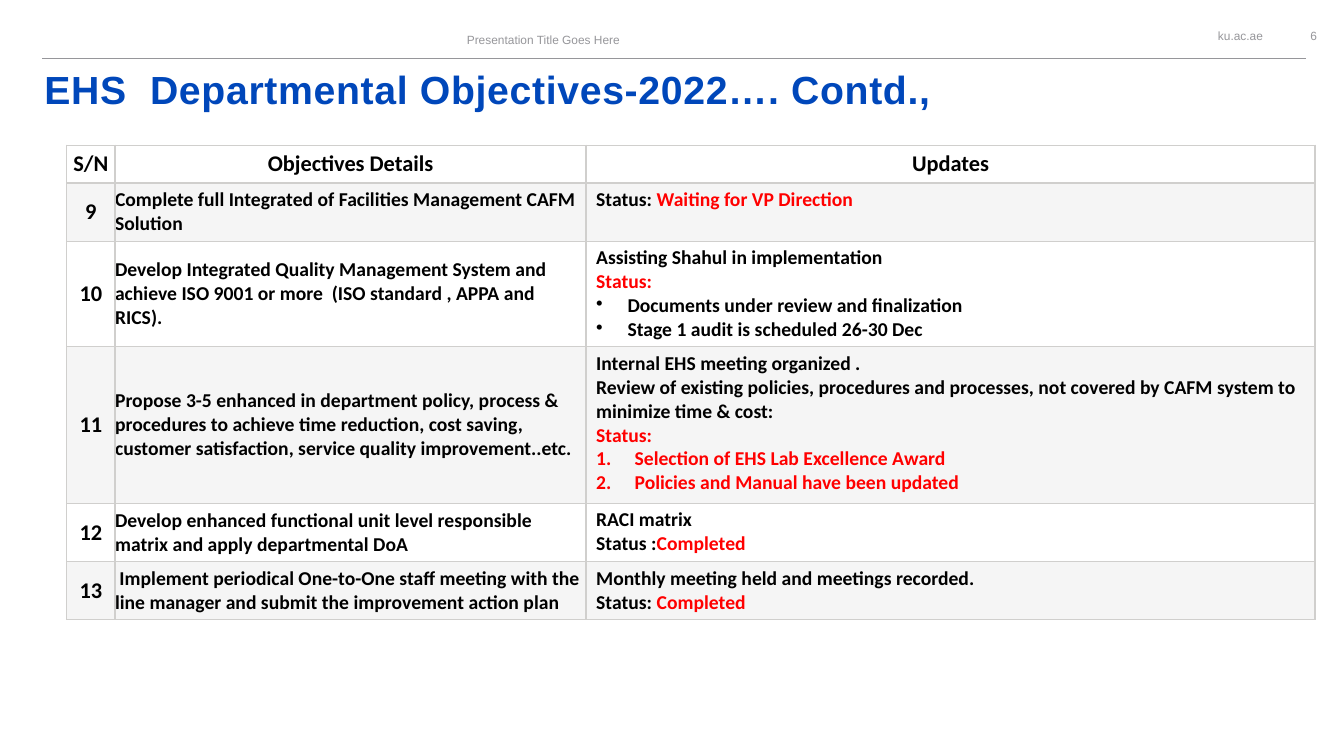
from lxml.etree import SubElement
from pptx import Presentation
from pptx.dml.color import RGBColor
from pptx.enum.shapes import MSO_CONNECTOR as CONN
from pptx.enum.text import MSO_ANCHOR as ANCHOR, MSO_AUTO_SIZE as FIT, PP_ALIGN as ALIGN
from pptx.oxml.ns import qn
from pptx.util import Cm, Pt

BLUE, GREY, BLACK, RED, RULE = "0047BA", "96969A", "000000", "FF0000", "D0CFCD"
SMALL = dict(name="Arial", size=Pt(8.5), bold=False)
HEADING = dict(name="Arial", size=Pt(28), bold=True)
LARGE = dict(name="Calibri", size=Pt(16), bold=True)
BODY = dict(name="Calibri", size=Pt(14), bold=True)

BULLETS = {
    "•": (0.79, "a:buChar", {"char": "•"}),
    "1.": (0.97, "a:buAutoNum", {"type": "arabicPeriod"}),
}
COLUMNS = (1.22, 11.87, 18.37)
ROWS = (0.95, 1.47, 2.66, 3.94, 1.47, 1.47)
HEADERS = ("S/N", "Objectives Details", "Updates")
OBJECTIVES = [
    ("9", "Complete full Integrated of Facilities Management CAFM Solution",
     [("", [("Status: ", BLACK), ("Waiting for VP Direction", RED)])]),
    ("10", "Develop Integrated Quality Management System and achieve ISO 9001 or more  "
     "(ISO standard , APPA and RICS).",
     [("", [("Assisting Shahul in implementation", BLACK)]),
      ("", [("Status:", RED)]),
      ("•", [("Documents under review and finalization", BLACK)]),
      ("•", [("Stage 1 audit is scheduled 26-30 Dec", BLACK)])]),
    ("11", "Propose 3-5 enhanced in department policy, process & procedures to achieve "
     "time reduction, cost saving, customer satisfaction, service quality improvement..etc.",
     [("", [("Internal EHS meeting organized .", BLACK)]),
      ("", [("Review of existing policies, procedures and processes, not covered by "
             "CAFM system to minimize time & cost:", BLACK)]),
      ("", [("Status:", RED)]),
      ("1.", [("Selection of EHS Lab Excellence Award", RED)]),
      ("1.", [("Policies and Manual have been updated", RED)])]),
    ("12", "Develop enhanced functional unit level responsible matrix and apply departmental DoA",
     [("", [("RACI matrix", BLACK)]),
      ("", [("Status :", BLACK), ("Completed", RED)])]),
    ("13", " Implement periodical One-to-One staff meeting with the line manager and "
     "submit the improvement action plan",
     [("", [("Monthly meeting held and meetings recorded.", BLACK)]),
      ("", [("Status: ", BLACK), ("Completed", RED)])]),
]


def rgb(color):
    return RGBColor.from_string(color)


def set_attrs(obj, values):
    for key, value in values.items():
        setattr(obj, key, value)


def add_run(p, text, color, fmt):
    r = p.add_run()
    r.text = text
    set_attrs(r.font, fmt)
    r.font.color.rgb = rgb(color)
    return r


def add_bullet(p, mark):
    indent, tag, attrs = BULLETS[mark]
    pPr = p._p.get_or_add_pPr()
    pPr.set("marL", str(Cm(indent)))
    pPr.set("indent", str(-Cm(indent)))
    SubElement(pPr, qn(tag), attrs)


def set_frame(tf, anchor):
    set_attrs(tf, dict(word_wrap=True, auto_size=FIT.NONE, vertical_anchor=anchor,
                       margin_left=0, margin_right=0, margin_top=0, margin_bottom=0))


def add_label(s, text, left, top, width, align):
    sp = s.shapes.add_textbox(Cm(left), Cm(top), Cm(width), Cm(0.69))
    set_frame(sp.text_frame, ANCHOR.MIDDLE)
    p = sp.text_frame.paragraphs[0]
    p.alignment = align
    add_run(p, text, GREY, SMALL)


def add_title(s, text):
    sp = s.shapes.title
    set_attrs(sp, dict(left=Cm(1.12), top=Cm(1.07), width=Cm(26.64), height=Cm(1.75)))
    set_frame(sp.text_frame, ANCHOR.BOTTOM)
    p = sp.text_frame.paragraphs[0]
    p.alignment = ALIGN.LEFT
    r = add_run(p, text, BLUE, HEADING)
    r._r.get_or_add_rPr().set("spc", "50")


def add_rule(s):
    line = s.shapes.add_connector(CONN.STRAIGHT, Cm(1.07), Cm(1.47), Cm(32.92), Cm(1.47))
    line.line.color.rgb = rgb(GREY)
    line.line.width = Pt(0.75)
    SubElement(line._element.spPr, qn("a:effectLst"))


def style_cell(cell, row):
    tcPr = cell._tc.get_or_add_tcPr()
    widths = dict(L=1, R=1, T=2 if row == 1 else 1, B=2 if row == 0 else 1)
    for side, width in widths.items():
        ln = SubElement(tcPr, qn(f"a:ln{side}"), w=str(Pt(width)))
        SubElement(SubElement(ln, qn("a:solidFill")), qn("a:srgbClr"), val=RULE)
    if row % 2:
        cell.fill.solid()
        cell.fill.fore_color.rgb = rgb(RULE)
        SubElement(next(tcPr.find(qn("a:solidFill")).iterchildren()), qn("a:alpha"), val="20000")
    else:
        cell.fill.background()


def fill_cell(cell, paragraphs, fmt, align, compact):
    if compact:
        set_attrs(cell, dict(margin_left=0, margin_right=0, margin_top=0, margin_bottom=0,
                             vertical_anchor=ANCHOR.MIDDLE))
    tf = cell.text_frame
    for i, (mark, runs) in enumerate(paragraphs):
        p = tf.add_paragraph() if i else tf.paragraphs[0]
        p.alignment = align
        if mark:
            add_bullet(p, mark)
        for text, color in runs:
            add_run(p, text, color, fmt)


def plain(text):
    return [("", [(text, BLACK)])]


def add_objectives(s):
    frame = s.shapes.add_table(len(ROWS), len(COLUMNS), Cm(1.68), Cm(3.66),
                               Cm(sum(COLUMNS)), Cm(sum(ROWS)))
    table = frame.table
    set_attrs(table, dict(first_row=False, horz_banding=False))
    for column, width in zip(table.columns, COLUMNS):
        column.width = Cm(width)
    for row, height in zip(table.rows, ROWS):
        row.height = Cm(height)
    content = [[plain(text) for text in HEADERS]]
    content += [[plain(number), plain(detail), updates] for number, detail, updates in OBJECTIVES]
    for i, row in enumerate(content):
        for j, paragraphs in enumerate(row):
            cell = table.cell(i, j)
            style_cell(cell, i)
            large = i == 0 or j == 0
            fill_cell(cell, paragraphs, LARGE if large else BODY,
                      ALIGN.CENTER if large else ALIGN.LEFT, compact=j < 2)


def main():
    prs = Presentation()
    prs.slide_width, prs.slide_height = Cm(33.87), Cm(19.05)
    s = prs.slides.add_slide(prs.slide_layouts[5])
    add_label(s, "ku.ac.ae", 28.93, 0.56, 2.9, ALIGN.RIGHT)
    add_rule(s)
    add_title(s, "EHS  Departmental Objectives-2022…. Contd.,")
    add_label(s, "Presentation Title Goes Here", 7.98, 0.66, 11.43, ALIGN.CENTER)
    add_label(s, "6", 32.38, 0.56, 1.45, ALIGN.CENTER)
    add_objectives(s)
    prs.save("out.pptx")


if __name__ == "__main__":
    main()
